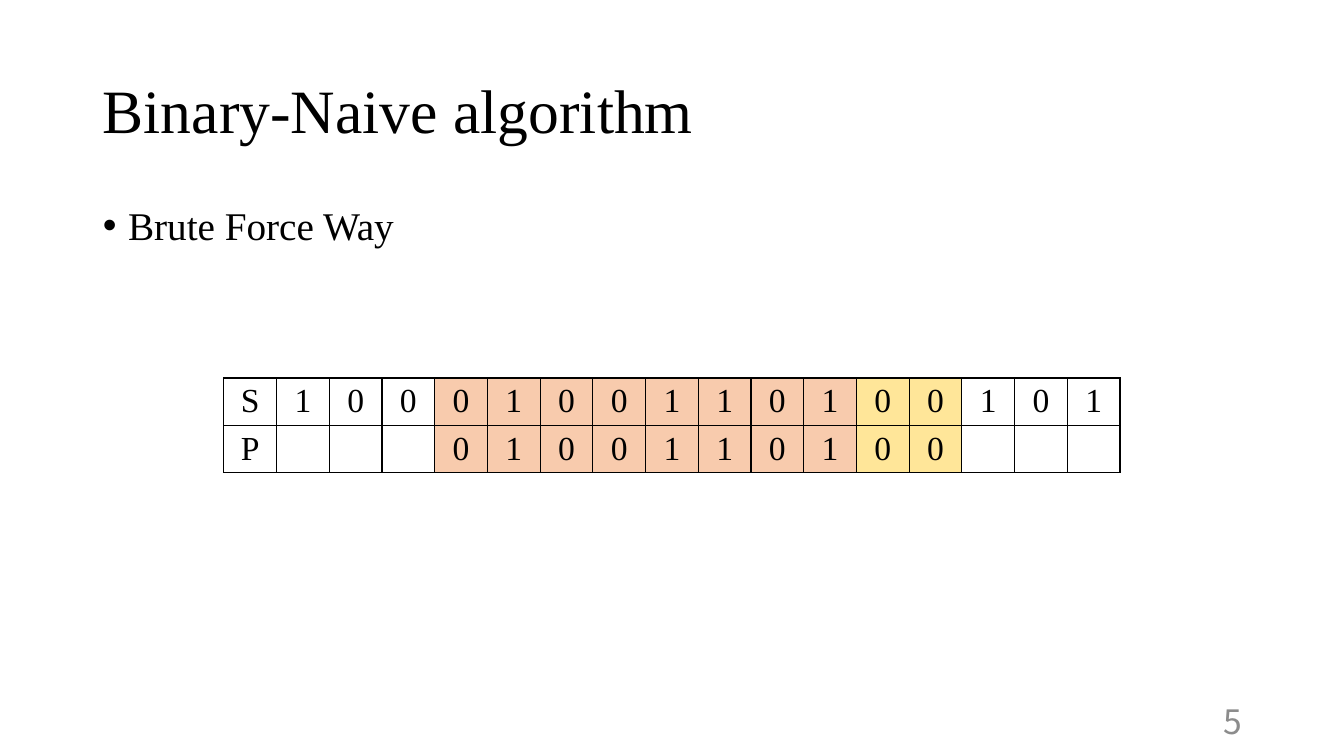
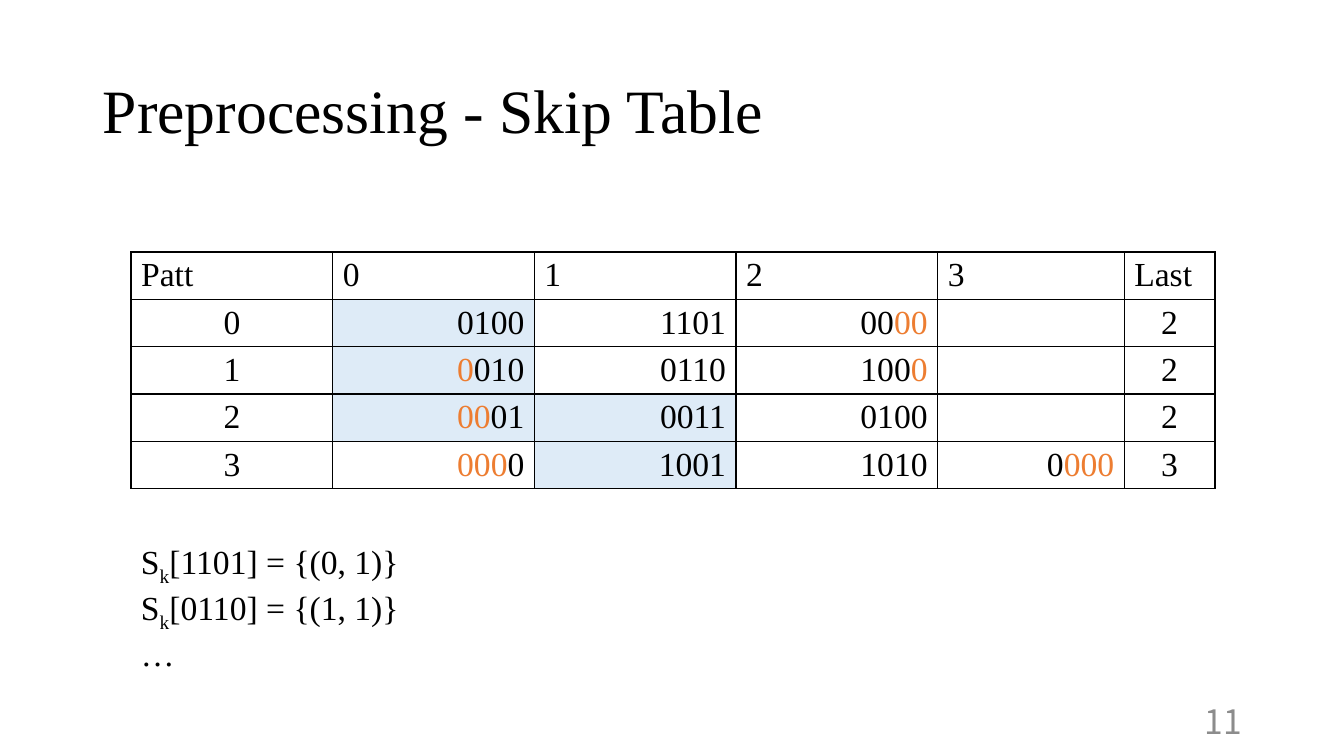
from itertools import groupby

from lxml.etree import SubElement
from pptx import Presentation
from pptx.dml.color import RGBColor
from pptx.enum.text import MSO_ANCHOR, MSO_AUTO_SIZE, PP_ALIGN
from pptx.oxml import parse_xml
from pptx.oxml.ns import nsdecls, qn
from pptx.util import Inches, Pt

COLORS = {
    "text": "000000",
    "page": "FFFFFF",
    "number": "8C8C8C",
    "border": "000000",
    "match": "F8CBAD",
    "tail": "FFE699",
    "pattern": "DEEBF7",
    "padding": "ED7D31",
}
SERIF = "Times New Roman"
TITLE_FONT = {"name": SERIF, "size": Pt(44)}
BULLET_FONT = {"name": SERIF, "size": Pt(28)}
TEXT_FONT = {"name": SERIF, "size": Pt(24)}
NUMBER_FONT = {"name": "Noto Sans CJK JP", "size": Pt(24)}
TOP_FRAME = {"word_wrap": True, "auto_size": MSO_AUTO_SIZE.NONE, "vertical_anchor": MSO_ANCHOR.TOP}
MIDDLE_FRAME = {**TOP_FRAME, "vertical_anchor": MSO_ANCHOR.MIDDLE}
TIGHT_LEFT = {"alignment": PP_ALIGN.LEFT, "line_spacing": 0.9, "space_before": Pt(0)}
TITLE_AND_CONTENT, TITLE_ONLY = 1, 5
ROW_HEIGHT = 0.47


def apply_format(target, values):
    """Set each attribute in values on target."""
    for name, value in values.items():
        setattr(target, name, value)


def add_run(paragraph, text, font, color="text"):
    """Append a formatted run and return it."""
    run = paragraph.add_run()
    run.text = text
    apply_format(run.font, font)
    run.font.color.rgb = RGBColor.from_string(COLORS[color])
    return run


def place(shape, left, top, width, height):
    """Position a shape, in inches."""
    lengths = zip(("left", "top", "width", "height"), (left, top, width, height))
    apply_format(shape, {name: Inches(value) for name, value in lengths})


def add_textbox(slide, box, frame_format):
    """Add an empty text box and return its text frame."""
    shape = slide.shapes.add_textbox(*map(Inches, box))
    apply_format(shape.text_frame, frame_format)
    return shape.text_frame


def add_slide(presentation, layout, title, number):
    """Add a slide with the shared title and page number."""
    slide = presentation.slides.add_slide(presentation.slide_layouts[layout])
    shape = slide.shapes.title
    place(shape, 0.92, 0.4, 11.5, 1.45)
    apply_format(shape.text_frame, MIDDLE_FRAME)
    paragraph = shape.text_frame.paragraphs[0]
    apply_format(paragraph, TIGHT_LEFT)
    add_run(paragraph, title, TITLE_FONT)
    frame = add_textbox(slide, (9.42, 6.95, 3, 0.4), MIDDLE_FRAME)
    frame.paragraphs[0].alignment = PP_ALIGN.RIGHT
    add_run(frame.paragraphs[0], number, NUMBER_FONT, "number")
    return slide


def fill_bullet(slide, text):
    """Write one bulleted line in the body placeholder."""
    shape = slide.placeholders[1]
    place(shape, 0.92, 2, 11.5, 4.76)
    apply_format(shape.text_frame, TOP_FRAME)
    paragraph = shape.text_frame.paragraphs[0]
    properties = paragraph._p.get_or_add_pPr()
    properties.set("marL", str(Inches(0.25)))
    properties.set("indent", str(Inches(-0.25)))
    SubElement(properties, qn("a:buFont"), typeface="Arial")
    SubElement(properties, qn("a:buChar"), char="•")
    apply_format(paragraph, TIGHT_LEFT)
    add_run(paragraph, text, BULLET_FONT)


def add_borders(cell):
    """Draw a thin line on all four sides of a cell."""
    properties = cell._tc.get_or_add_tcPr()
    for side in ("lnL", "lnR", "lnT", "lnB"):
        properties.append(parse_xml(
            f'<a:{side} {nsdecls("a")} w="{Pt(1)}"><a:solidFill>'
            f'<a:srgbClr val="{COLORS["border"]}"/></a:solidFill></a:{side}>'
        ))


def fill_cell(cell, text, fill, alignment):
    """Format a cell, writing each underscore as a coloured padding zero."""
    add_borders(cell)
    cell.fill.solid()
    cell.fill.fore_color.rgb = RGBColor.from_string(COLORS[fill])
    paragraph = cell.text_frame.paragraphs[0]
    paragraph.alignment = alignment
    for padded, digits in groupby(text, lambda digit: digit == "_"):
        part = "".join(digits).replace("_", "0")
        add_run(paragraph, part, TEXT_FONT, "padding" if padded else "text")


def add_grid(slide, left, top, widths, rows, fill_of, alignment_of):
    """Add a bordered table whose cell looks follow the given rules."""
    shape = slide.shapes.add_table(
        len(rows), len(widths), Inches(left), Inches(top),
        Inches(sum(widths)), Inches(ROW_HEIGHT * len(rows)),
    )
    table = shape.table
    apply_format(table, {"first_row": False, "horz_banding": False})
    for column, width in zip(table.columns, widths):
        column.width = Inches(width)
    for row_index, row in enumerate(rows):
        table.rows[row_index].height = Inches(ROW_HEIGHT)
        for column_index, text in enumerate(row):
            position = row_index, column_index
            fill_cell(table.cell(*position), text, fill_of(*position), alignment_of(*position))


def add_skip_entries(slide, entries):
    """List skip table entries with a subscript k, then an ellipsis."""
    frame = add_textbox(slide, (1.3, 5.32, 3.17, 1.31), TOP_FRAME)
    paragraph = frame.paragraphs[0]
    for entry in entries:
        add_run(paragraph, "S", TEXT_FONT)
        subscript = add_run(paragraph, "k", TEXT_FONT)
        subscript._r.get_or_add_rPr().set("baseline", "-25000")
        add_run(paragraph, entry, TEXT_FONT)
        paragraph = frame.add_paragraph()
    add_run(paragraph, "…", TEXT_FONT)


def match_fill(row, column):
    """Colour the compared columns of the search grid."""
    if 4 <= column < 12:
        return "match"
    return "tail" if 12 <= column < 14 else "page"


def skip_fill(row, column):
    """Colour the cells that hold whole pattern bytes."""
    shaded = {1: (1, 2, 3), 2: (3, 4)}
    return "pattern" if row in shaded.get(column, ()) else "page"


def skip_alignment(row, column):
    """Align headings left, edge columns centred and bit groups right."""
    if row == 0:
        return PP_ALIGN.LEFT
    return PP_ALIGN.CENTER if column in (0, 5) else PP_ALIGN.RIGHT


def add_naive_slide(presentation):
    """Build the brute force comparison slide."""
    slide = add_slide(presentation, TITLE_AND_CONTENT, "Binary-Naive algorithm", "5")
    fill_bullet(slide, "Brute Force Way")
    text, pattern, offset = "1000100110100101", "0100110100", 3
    rows = ["S" + text, "P" + [*pattern, ""][0] * 0]
    rows = [["S", *text], ["P", *[""] * offset, *pattern, *[""] * offset]]
    widths = [8.89 / len(rows[0])] * len(rows[0])
    add_grid(slide, 2.22, 3.75, widths, rows, match_fill, lambda row, column: PP_ALIGN.CENTER)


def add_skip_slide(presentation):
    """Build the skip table slide."""
    slide = add_slide(presentation, TITLE_ONLY, "Preprocessing - Skip Table", "11")
    rows = [
        ("Patt", "0", "1", "2", "3", "Last"),
        ("0", "0100", "1101", "00__", "", "2"),
        ("1", "_010", "0110", "100_", "", "2"),
        ("2", "__01", "0011", "0100", "", "2"),
        ("3", "___0", "1001", "1010", "0___", "3"),
    ]
    widths = [2, 2, 2, 2, 1.85, 0.9]
    add_grid(slide, 1.3, 2.5, widths, rows, skip_fill, skip_alignment)
    add_skip_entries(slide, ["[1101] = {(0, 1)}", "[0110] = {(1, 1)}"])


def main():
    """Build and save the presentation."""
    presentation = Presentation()
    apply_format(presentation, {"slide_width": Inches(13.33), "slide_height": Inches(7.5)})
    add_naive_slide(presentation)
    add_skip_slide(presentation)
    presentation.save("out.pptx")


if __name__ == "__main__":
    main()
